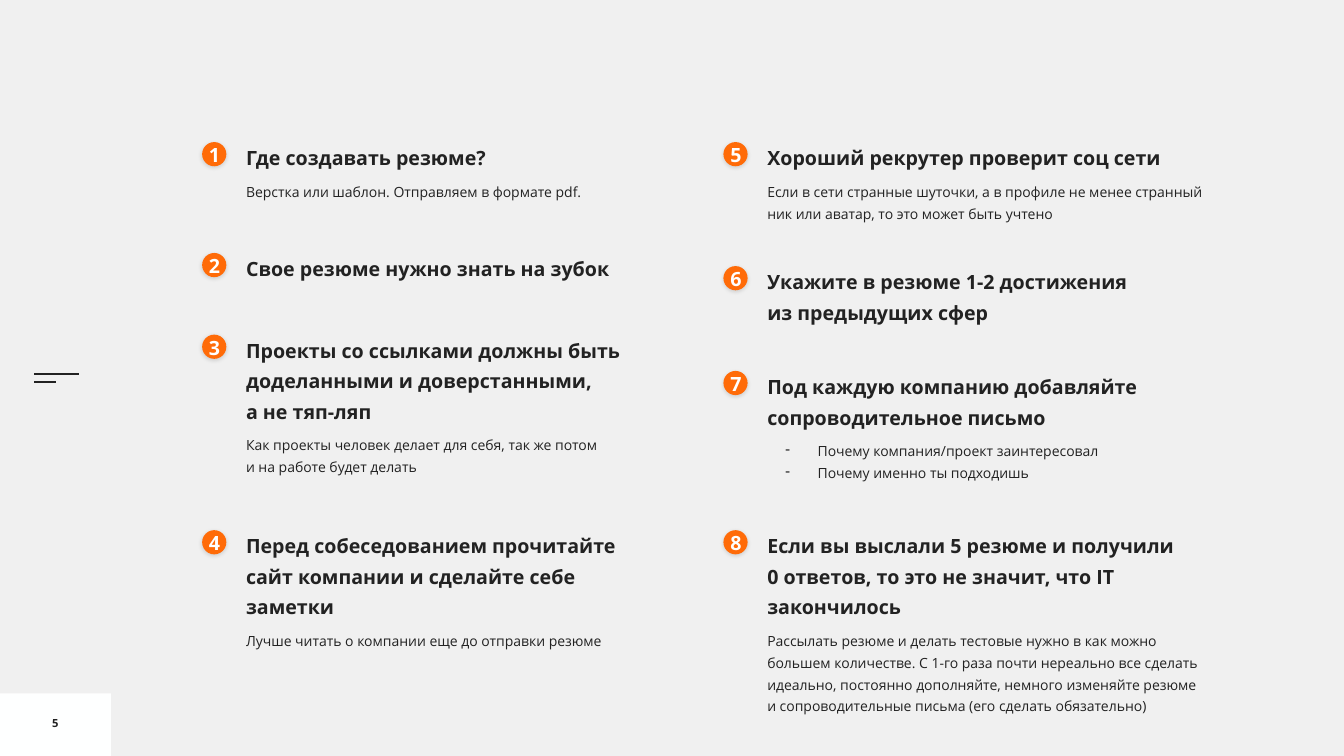
from copy import deepcopy
from dataclasses import dataclass

from lxml import etree
from pptx import Presentation
from pptx.dml.color import RGBColor
from pptx.enum.shapes import MSO_CONNECTOR, MSO_SHAPE
from pptx.enum.text import MSO_ANCHOR, MSO_AUTO_SIZE, PP_ALIGN
from pptx.oxml.ns import qn
from pptx.util import Inches, Pt

RECTANGLE, OVAL = MSO_SHAPE.RECTANGLE, MSO_SHAPE.OVAL
STRAIGHT = MSO_CONNECTOR.STRAIGHT
TOP, MIDDLE = MSO_ANCHOR.TOP, MSO_ANCHOR.MIDDLE
LEFT, CENTER = PP_ALIGN.LEFT, PP_ALIGN.CENTER
GROW, FIXED = MSO_AUTO_SIZE.SHAPE_TO_FIT_TEXT, MSO_AUTO_SIZE.NONE

FONT = "Open Sans"
COLORS = {
    "background": "F0F0F0",
    "corner": "FEFFFF",
    "ink": "222222",
    "badge": "FF6B08",
    "digit": "FFFFFF",
    "shadow": "000000",
}
BADGE_SIZE = 0.24
BADGE_TO_TEXT = 0.435
BADGE_DROP = 0.07


@dataclass
class Tip:
    top: float
    width: float
    height: float
    heading: str
    details: tuple[str, ...] = ()
    bulleted: bool = False


# Tips by left edge of the text column
COLUMNS = {
    2.44: [
        Tip(1.34, 4.35, 0.69, "Где создавать резюме?",
            ("Верстка или шаблон. Отправляем в формате pdf.",)),
        Tip(2.44, 3.92, 0.35, "Свое резюме нужно знать на зубок"),
        Tip(3.25, 3.92, 1.47,
            "Проекты со ссылками должны быть доделанными и доверстанными, \vа не тяп-ляп",
            ("Как проекты человек делает для себя, так же потом \vи на работе будет делать",)),
        Tip(5.19, 3.92, 0.97,
            "Перед собеседованием прочитайте сайт компании и сделайте себе заметки",
            ("Лучше читать о компании еще до отправки резюме",)),
    ],
    7.61: [
        Tip(1.34, 4.41, 0.88, "Хороший рекрутер проверит соц сети",
            ("Если в сети странные шуточки, а в профиле не менее странный "
             "ник или аватар, то это может быть учтено",)),
        Tip(2.57, 3.92, 0.62, "Укажите в резюме 1-2 достижения \vиз предыдущих сфер"),
        Tip(3.61, 3.92, 1.16, "Под каждую компанию добавляйте сопроводительное письмо",
            ("Почему компания/проект заинтересовал", "Почему именно ты подходишь"),
            bulleted=True),
        Tip(5.19, 4.41, 1.91,
            "Если вы выслали 5 резюме и получили \v0 ответов, то это не значит, "
            "что IT закончилось",
            ("Рассылать резюме и делать тестовые нужно в как можно большем количестве. "
             "С 1-го раза почти нереально все сделать идеально, постоянно дополняйте, "
             "немного изменяйте резюме \vи сопроводительные письма (его сделать обязательно)",)),
    ],
}


def rgb(name: str) -> RGBColor:
    return RGBColor.from_string(COLORS[name])


def add_box(shapes, left: float, top: float, width: float, height: float,
            inset_x: float, inset_y: float, anchor=TOP, auto_size=GROW):
    frame = shapes.add_textbox(Inches(left), Inches(top), Inches(width), Inches(height)).text_frame
    frame.word_wrap = True
    frame.auto_size = auto_size
    frame.vertical_anchor = anchor
    frame.margin_left = frame.margin_right = Inches(inset_x)
    frame.margin_top = frame.margin_bottom = Inches(inset_y)
    return frame


def write(paragraph, text: str, *, size: float, bold: bool = True, color: str = "ink",
          align=LEFT, spacing: float = 1.0, before: float = 0, dash: bool = False) -> None:
    paragraph.text = text
    paragraph.alignment = align
    paragraph.line_spacing = spacing
    if before:
        paragraph.space_before = Pt(before)
    if dash:
        properties = paragraph._p.get_or_add_pPr()
        properties.set("marL", str(Inches(0.5)))
        properties.set("indent", str(Inches(-0.32)))
        bullet_color = etree.SubElement(properties, qn("a:buClr"))
        etree.SubElement(bullet_color, qn("a:srgbClr"), val=COLORS[color])
        etree.SubElement(properties, qn("a:buChar"), char="-")
    for run in paragraph.runs:
        run.font.name = FONT
        run.font.size = Pt(size)
        run.font.bold = bold
        run.font.color.rgb = rgb(color)
    # Line breaks take the format of the text around them
    for line_break in paragraph._p.findall(qn("a:br")):
        line_break.insert(0, deepcopy(paragraph.runs[0]._r.rPr))


def add_filled(shapes, kind, left: float, top: float, width: float, height: float, color: str):
    shape = shapes.add_shape(kind, Inches(left), Inches(top), Inches(width), Inches(height))
    shape.shadow.inherit = False
    shape.fill.solid()
    shape.fill.fore_color.rgb = rgb(color)
    shape.line.fill.background()
    return shape


def add_badge(shapes, left: float, top: float) -> None:
    badge = add_filled(shapes, OVAL, left, top, BADGE_SIZE, BADGE_SIZE, "badge")
    effects = badge._element.spPr.find(qn("a:effectLst"))
    shadow = etree.SubElement(effects, qn("a:outerShdw"), blurRad=str(Pt(3)), dist=str(Pt(1)),
                              dir="5400000", algn="ctr", rotWithShape="0")
    shade = etree.SubElement(shadow, qn("a:srgbClr"), val=COLORS["shadow"])
    etree.SubElement(shade, qn("a:alpha"), val="15000")


def add_rule(shapes, left: float, top: float, length: float) -> None:
    rule = shapes.add_connector(STRAIGHT, Inches(left), Inches(top),
                                Inches(left + length), Inches(top))
    rule.line.color.rgb = rgb("ink")
    rule.line.width = Pt(1.5)
    etree.SubElement(rule._element.spPr, qn("a:effectLst"))


def add_tip(shapes, number: int, left: float, tip: Tip) -> None:
    badge_left = left - BADGE_TO_TEXT
    group = shapes.add_group_shape()
    add_badge(group.shapes, badge_left, tip.top + BADGE_DROP)
    body = add_box(group.shapes, left, tip.top, tip.width, tip.height, 0, 0.04)
    write(body.paragraphs[0], tip.heading, size=14, spacing=1.3)
    for index, detail in enumerate(tip.details):
        write(body.add_paragraph(), detail, size=10, bold=False, spacing=1.3,
              before=0 if index else 6, dash=tip.bulleted)
    digit = add_box(shapes, badge_left - 0.03, tip.top - 0.02, 0.33, 0.44, 0.1, 0.1)
    write(digit.paragraphs[0], str(number), size=14, color="digit")


def main() -> None:
    deck = Presentation()
    deck.slide_width, deck.slide_height = Inches(13.33), Inches(7.5)
    slide = deck.slides.add_slide(deck.slide_layouts[6])
    slide.background.fill.solid()
    slide.background.fill.fore_color.rgb = rgb("background")
    shapes = slide.shapes

    # Page number corner and menu mark
    add_filled(shapes, RECTANGLE, 0, 6.88, 1.1, 0.62, "corner")
    add_rule(shapes, 0.34, 3.71, 0.44)
    add_rule(shapes, 0.34, 3.79, 0.22)
    page = add_box(shapes, 0, 6.97, 1.1, 0.4, 0.1, 0.05, anchor=MIDDLE, auto_size=FIXED)
    write(page.paragraphs[0], "5", size=8, align=CENTER)

    # Numbered tips in two columns
    number = 0
    for left, tips in COLUMNS.items():
        for tip in tips:
            number += 1
            add_tip(shapes, number, left, tip)

    deck.save("out.pptx")


if __name__ == "__main__":
    main()
